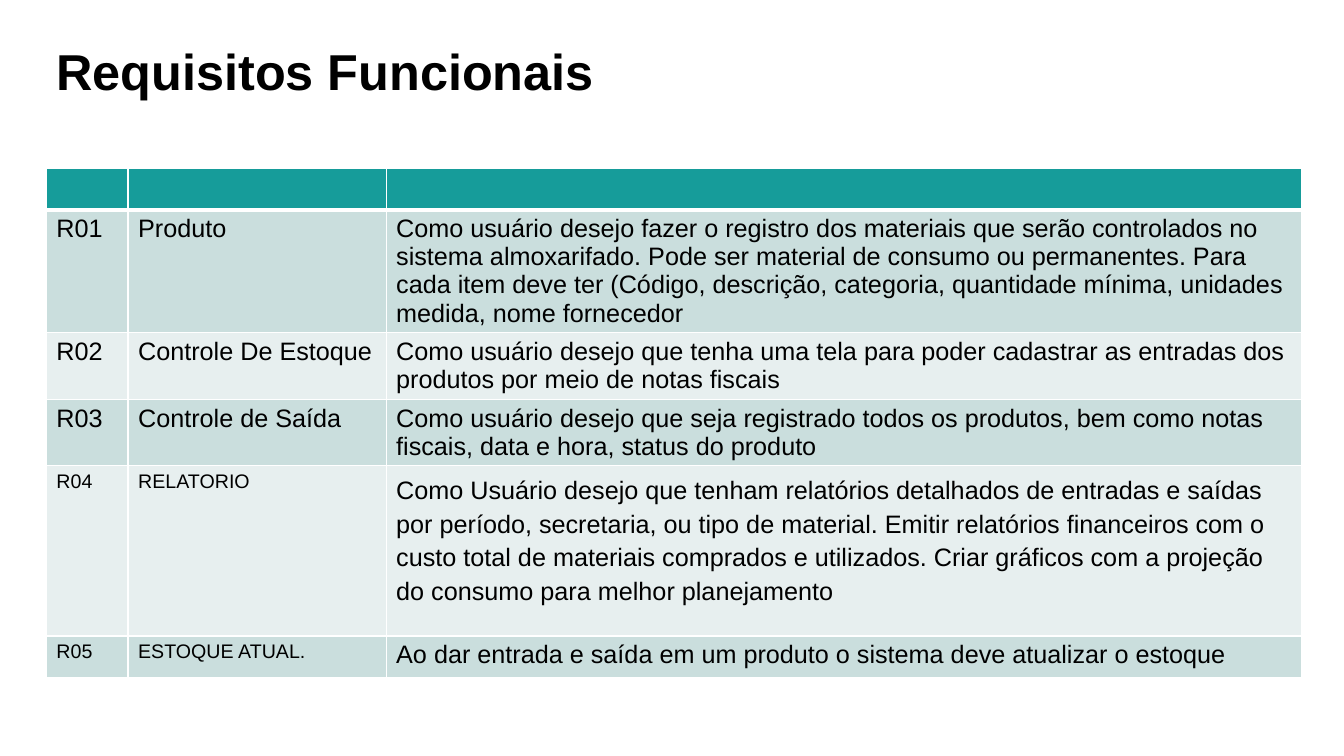
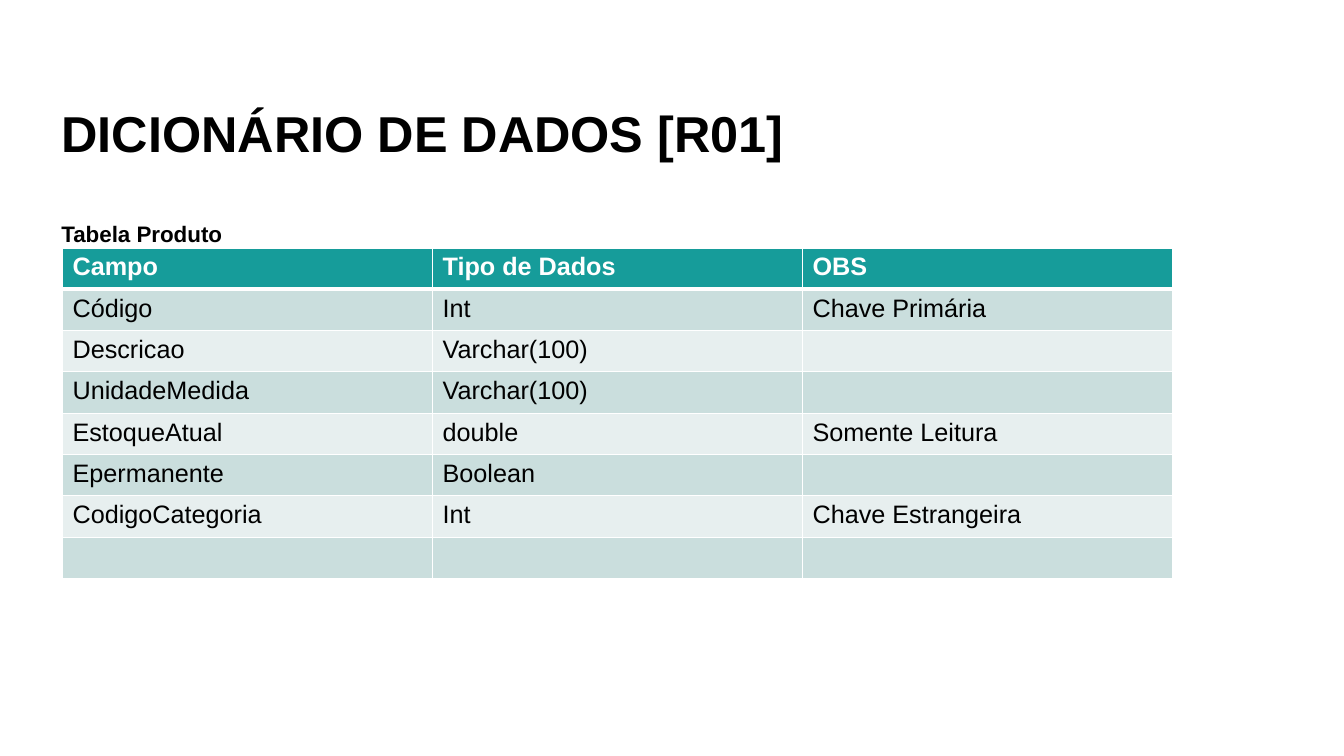
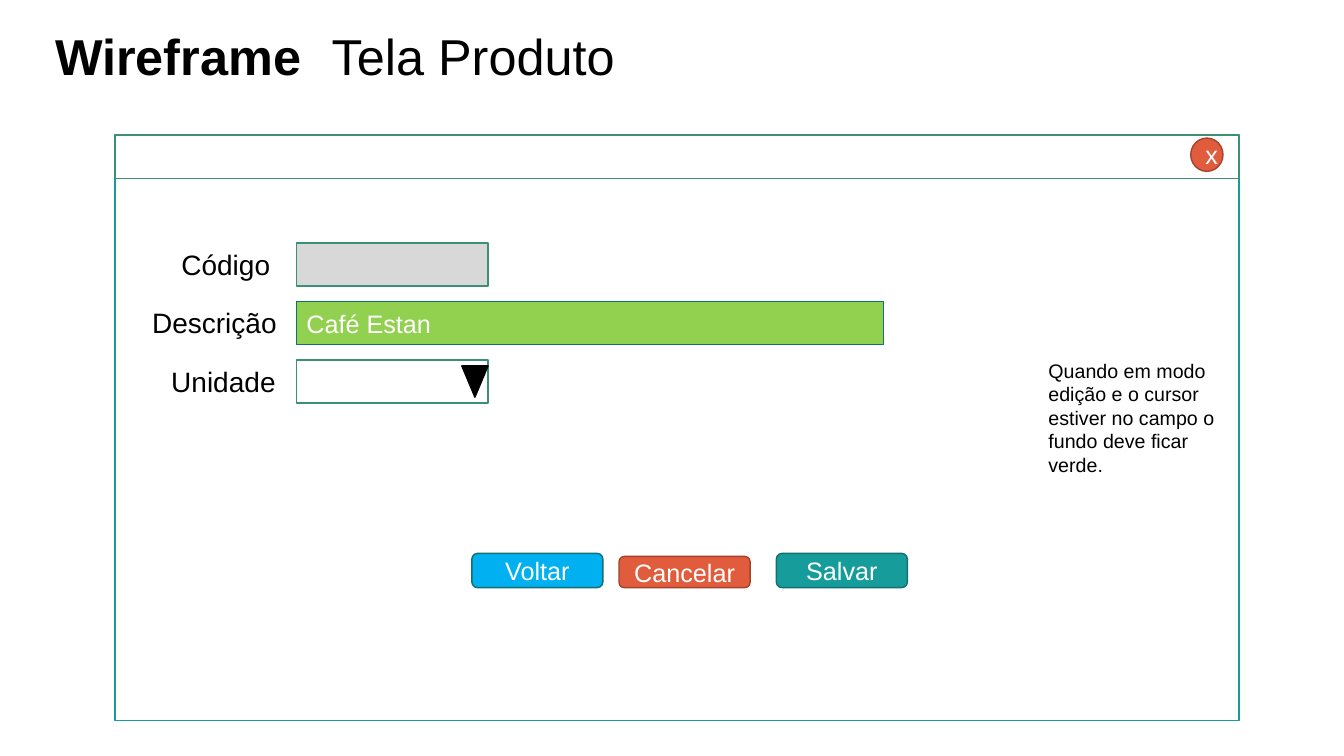
from lxml import etree
from pptx import Presentation
from pptx.dml.color import RGBColor
from pptx.enum import shapes, text
from pptx.oxml import ns
from pptx.util import Inches, Pt

WHITE = RGBColor(0xFF, 0xFF, 0xFF)
BLACK = RGBColor(0, 0, 0)
TEAL = RGBColor(0x16, 0x9C, 0x9A)
DEEP = RGBColor(0x10, 0x71, 0x70)
GREEN = RGBColor(0x3D, 0x90, 0x72)
LIME = RGBColor(0x92, 0xD0, 0x50)
RED = RGBColor(0xE1, 0x5C, 0x3D)
RUST = RGBColor(0xA4, 0x43, 0x2C)
BLUE = RGBColor(0x00, 0xB0, 0xF0)
GREY = RGBColor(0xD8, 0xD8, 0xD8)
BANDS = (RGBColor(0xE7, 0xEF, 0xEF), RGBColor(0xCA, 0xDE, 0xDD))
FONT = "Arial"
KIND = shapes.MSO_SHAPE
LEFT, MID = text.PP_ALIGN.LEFT, text.PP_ALIGN.CENTER
TOP, CENTER, BASE = (text.MSO_ANCHOR.TOP, text.MSO_ANCHOR.MIDDLE,
                     text.MSO_ANCHOR.BOTTOM)
ROW = 0.41

NEEDS = [
    ("", "", ""),
    ("R01", "Produto",
     "Como usuário desejo fazer o registro dos materiais que serão controlados "
     "no sistema almoxarifado. Pode ser material de consumo ou permanentes. "
     "Para cada item deve ter (Código, descrição, categoria, quantidade mínima, "
     "unidades medida, nome fornecedor"),
    ("R02", "Controle De Estoque",
     "Como usuário desejo que tenha uma tela para poder cadastrar as entradas "
     "dos produtos por meio de notas fiscais"),
    ("R03", "Controle de Saída",
     "Como usuário desejo que seja registrado todos os produtos, bem como notas "
     "fiscais, data e hora, status do produto"),
    ("R04", "RELATORIO",
     "Como Usuário desejo que tenham relatórios detalhados de entradas e saídas "
     "por período, secretaria, ou tipo de material. Emitir relatórios "
     "financeiros com o custo total de materiais comprados e utilizados. Criar "
     "gráficos com a projeção do consumo para melhor planejamento"),
    ("R05", "ESTOQUE ATUAL.",
     "Ao dar entrada e saída em um produto o sistema deve atualizar o estoque"),
]
FIELDS = [
    ("Campo", "Tipo de Dados", "OBS"),
    ("Código", "Int", "Chave Primária"),
    ("Descricao", "Varchar(100)", ""),
    ("UnidadeMedida", "Varchar(100)", ""),
    ("EstoqueAtual", "double", "Somente Leitura"),
    ("Epermanente", "Boolean", ""),
    ("CodigoCategoria", "Int", "Chave Estrangeira"),
    ("", "", ""),
]


def write(frame, words, size=18, color=BLACK, bold=False, align=LEFT, space=None):
    para = frame.paragraphs[0]
    para.alignment = align
    if space:
        para.line_spacing = space
    run = para.add_run()
    run.text = words
    font = run.font
    font.name, font.size, font.bold = FONT, Pt(size), bold
    font.color.rgb = color


def fit(frame, anchor):
    frame.word_wrap = True
    frame.auto_size = text.MSO_AUTO_SIZE.NONE
    frame.vertical_anchor = anchor


def label(slide, box, words, anchor=BASE, space=0.9, **style):
    frame = slide.shapes.add_textbox(*map(Inches, box)).text_frame
    fit(frame, anchor)
    write(frame, words, space=space, **style)


def start(deck, words, box, bold=True):
    """Add a title-only slide and set its title in the box."""
    slide = deck.slides.add_slide(deck.slide_layouts[5])
    title = slide.shapes.title
    title.left, title.top, title.width, title.height = map(Inches, box)
    fit(title.text_frame, BASE)
    write(title.text_frame, words, size=36, bold=bold, space=0.9)
    return slide


def shape(slide, kind, box, fill, line, words="", align=MID):
    item = slide.shapes.add_shape(kind, *map(Inches, box))
    item.shadow.inherit = False
    item.fill.solid()
    item.fill.fore_color.rgb = fill
    item.line.color.rgb = line
    item.line.width = Pt(1)
    if words:
        fit(item.text_frame, CENTER)
        write(item.text_frame, words, color=WHITE, align=align)
    return item


def edge(cell, **widths):
    """Draw white cell borders, given in points by side: L, R, T, B."""
    props = cell._tc.get_or_add_tcPr()
    for side, width in widths.items():
        line = etree.SubElement(props, ns.qn("a:ln" + side), w=str(Pt(width)))
        fill = etree.SubElement(line, ns.qn("a:solidFill"))
        etree.SubElement(fill, ns.qn("a:srgbClr"), val=str(WHITE))


def grid(slide, left, top, cols, highs, rows, styles=None):
    """Add a banded table; styles maps (row, column) to a text format."""
    styles = styles or {}
    table = slide.shapes.add_table(
        len(rows), len(cols), Inches(left), Inches(top),
        Inches(sum(cols)), Inches(sum(highs))).table
    for col, wide in zip(table.columns, cols):
        col.width = Inches(wide)
    for r, row in enumerate(rows):
        table.rows[r].height = Inches(highs[r])
        head = r == 0
        for c, words in enumerate(row):
            cell = table.cell(r, c)
            edge(cell, L=1, R=1, T=3 if r == 1 else 1, B=3 if head else 1)
            cell.fill.solid()
            cell.fill.fore_color.rgb = TEAL if head else BANDS[r % 2]
            if words:
                write(cell.text_frame, words, bold=head,
                      color=WHITE if head else BLACK, **styles.get((r, c), {}))


def needs(deck):
    slide = start(deck, "Requisitos Funcionais", (0.46, 0, 6.47, 1.06))
    small = {(r, c): {"size": 14} for r in (4, 5) for c in (0, 1)}
    grid(slide, 0.46, 1.67, (0.81, 2.56, 9.08),
         (ROW, 1.21, 0.66, 0.66, 1.69, ROW), NEEDS,
         {**small, (4, 2): {"space": 1.2}})


def fields(deck):
    slide = start(deck, "DICIONÁRIO DE DADOS [R01]", (0.51, 0, 11.5, 1.67))
    grid(slide, 0.62, 2.46, [3.67] * 3, [ROW] * len(FIELDS), FIELDS)
    label(slide, (0.51, 2, 11.5, 0.5), "Tabela Produto", size=16, bold=True)


def window(slide, x, y, wide, high):
    shape(slide, KIND.RECTANGLE, (x, y, wide, high), WHITE, TEAL)
    shape(slide, KIND.RECTANGLE, (x, y, wide, 0.43), WHITE, GREEN)
    shape(slide, KIND.OVAL, (x + wide - 0.48, y + 0.03, 0.32, 0.33),
          RED, RUST, "x")


def form(slide, x, y):
    """Stack the labelled inputs from the first input's corner."""
    tall, step = 0.43, 0.58
    inputs = (("Código", 1.24, 1.9, GREY, GREEN, ""),
              ("Descrição", 1.53, 5.82, LIME, DEEP, "Café Estan"),
              ("Unidade", 1.34, 1.9, WHITE, GREEN, ""))
    for i, (name, back, wide, fill, line, words) in enumerate(inputs):
        top = y + i * step
        shape(slide, KIND.RECTANGLE, (x, top, wide, tall), fill, line, words, LEFT)
        label(slide, (x - back, top + tall - 0.6, 1.5, 0.6), name, size=20)
    arrow = shape(slide, KIND.ISOSCELES_TRIANGLE,
                  (x + 1.64, y + 2 * step + 0.06, 0.26, 0.31), BLACK, BLACK)
    arrow.rotation = 180


def buttons(slide, x, y):
    for dx, dy, fill, line, words in ((0, 0, BLUE, DEEP, "Voltar"),
                                      (1.46, 0.03, RED, RUST, "Cancelar"),
                                      (3.02, 0, TEAL, DEEP, "Salvar")):
        shape(slide, KIND.ROUNDED_RECTANGLE,
              (x + dx, y + dy, 1.3, 0.34 - dy), fill, line, words)


def screen(deck):
    slide = start(deck, "Tela Produto", (3.19, 0, 6.47, 0.91), bold=False)
    label(slide, (0.45, 0, 2.74, 0.91), "Wireframe", size=36, bold=True)
    window(slide, 1.14, 1.34, 11.15, 5.81)
    form(slide, 2.94, 2.41)
    buttons(slide, 4.68, 5.49)
    label(slide, (10.3, 3.51, 1.95, 1.28),
          "Quando em modo edição e o cursor estiver no campo o fundo deve "
          "ficar verde.", anchor=TOP, space=None, size=14)


def main():
    deck = Presentation()
    deck.slide_width, deck.slide_height = Inches(13.33), Inches(7.5)
    for build in (needs, fields, screen):
        build(deck)
    deck.save("out.pptx")


if __name__ == "__main__":
    main()
